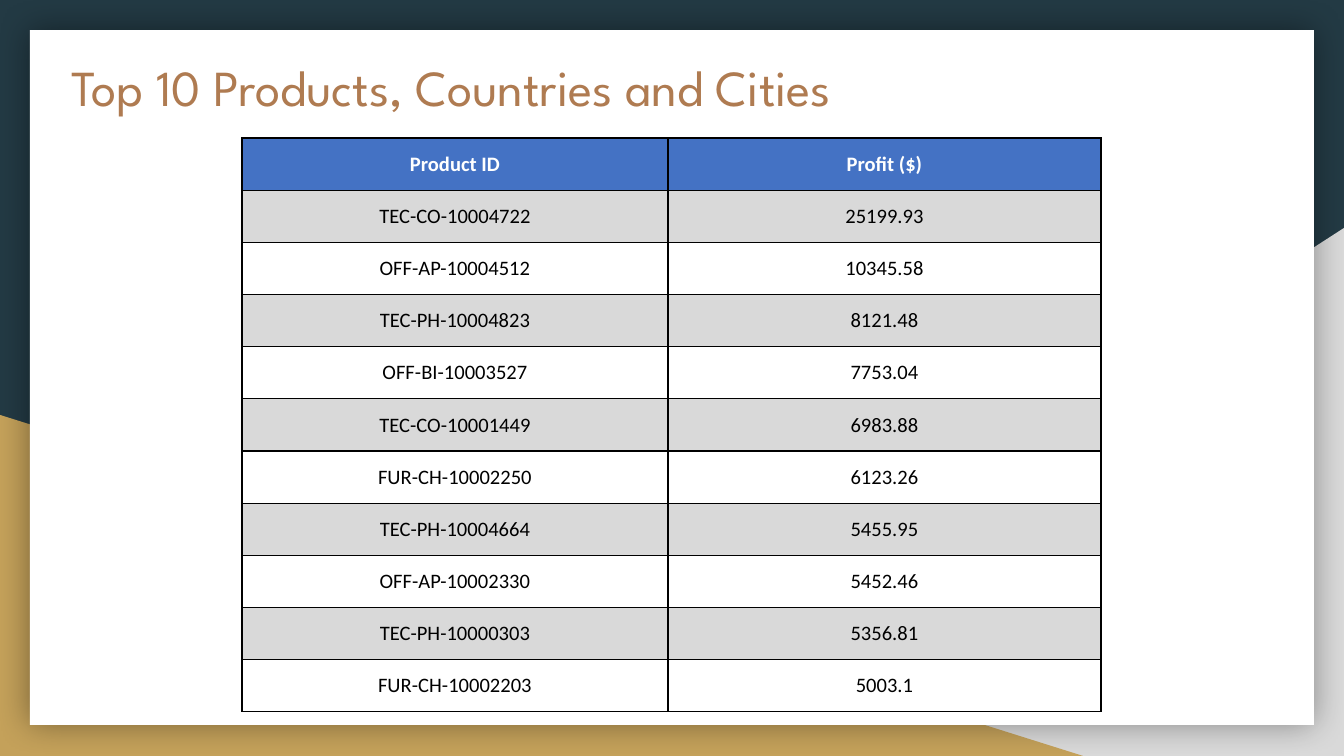
from lxml.etree import SubElement
from pptx import Presentation
from pptx.dml.color import RGBColor
from pptx.enum.shapes import MSO_SHAPE
from pptx.enum.text import MSO_ANCHOR, MSO_AUTO_SIZE, PP_ALIGN
from pptx.oxml import parse_xml
from pptx.oxml.ns import nsdecls, qn
from pptx.util import Emu, Pt

SCALE = 914400 / 134.4
WIDTH, HEIGHT = 1344, 756
INSET = 13
NAVY, GOLD, GREY = "233A44", "C4A15A", "D9D9D9"
BROWN, BLUE, WHITE, BLACK = "AF7B51", "4472C4", "FFFFFF", "000000"

PROFITS = [
    ("TEC-CO-10004722", "25199.93"),
    ("OFF-AP-10004512", "10345.58"),
    ("TEC-PH-10004823", "8121.48"),
    ("OFF-BI-10003527", "7753.04"),
    ("TEC-CO-10001449", "6983.88"),
    ("FUR-CH-10002250", "6123.26"),
    ("TEC-PH-10004664", "5455.95"),
    ("OFF-AP-10002330", "5452.46"),
    ("TEC-PH-10000303", "5356.81"),
    ("FUR-CH-10002203", "5003.1"),
]


def px(n):
    return Emu(round(n * SCALE))


def paint(target, color):
    target.solid()
    target.fore_color.rgb = RGBColor.from_string(color)


class Deck:
    head_font, body_font = "League Spartan", "Calibri"

    def __init__(self, prs):
        self.slide = prs.slides.add_slide(prs.slide_layouts[5])
        paint(self.slide.background.fill, NAVY)

    def shape(self, kind, box, color):
        item = self.slide.shapes.add_shape(kind, *map(px, box))
        item.shadow.inherit = False
        paint(item.fill, color)
        item.line.fill.background()
        return item

    def wedge(self, box, color, flip=False):
        item = self.shape(MSO_SHAPE.RIGHT_TRIANGLE, box, color)
        if flip:
            item._element.spPr.find(qn("a:xfrm")).set("flipH", "1")

    def panel(self, box):
        item = self.shape(MSO_SHAPE.RECTANGLE, box, WHITE)
        glow = parse_xml(
            f'<a:outerShdw {nsdecls("a")} blurRad="{Pt(18)}" algn="ctr" rotWithShape="0">'
            f'<a:srgbClr val="{BLACK}"><a:alpha val="40000"/></a:srgbClr></a:outerShdw>')
        item._element.spPr.find(qn("a:effectLst")).append(glow)

    def title(self, text, box):
        item = self.slide.shapes.title
        item.left, item.top, item.width, item.height = map(px, box)
        # Bring the title in front of the backdrop
        tree = item._element.getparent()
        tree.append(item._element)
        frame = item.text_frame
        frame.text = text
        frame.word_wrap = True
        frame.auto_size = MSO_AUTO_SIZE.NONE
        frame.vertical_anchor = MSO_ANCHOR.TOP
        frame.margin_left = frame.margin_right = px(INSET)
        frame.margin_top = frame.margin_bottom = px(INSET)
        self.style(frame.paragraphs[0], self.head_font, 27, BROWN, PP_ALIGN.LEFT)

    def style(self, para, face, size, color, align, bold=False):
        para.alignment = align
        font = para.font
        font.name, font.size, font.bold = face, Pt(size), bold
        font.color.rgb = RGBColor.from_string(color)

    def table(self, rows, left, top, widths, height):
        frame = self.slide.shapes.add_table(
            len(rows), len(widths), px(left), px(top), px(sum(widths)), px(height))
        grid = frame.table
        for col, width in zip(grid.columns, widths):
            col.width = px(width)
        for r, row in enumerate(rows):
            grid.rows[r].height = px(height / len(rows))
            for c, text in enumerate(row):
                self.cell(grid.cell(r, c), text, r)

    def cell(self, cell, text, row):
        head = row == 0
        cell.text = text
        cell.vertical_anchor = MSO_ANCHOR.MIDDLE
        cell.margin_left = cell.margin_right = px(INSET)
        cell.margin_top = cell.margin_bottom = px(INSET)
        self.style(cell.text_frame.paragraphs[0], self.body_font, 11,
                   WHITE if head else BLACK, PP_ALIGN.CENTER, head)
        # Borders must come before the fill
        props = cell._tc.get_or_add_tcPr()
        for side in ("lnL", "lnR", "lnT", "lnB"):
            line = SubElement(props, qn(f"a:{side}"), w=str(Pt(0.75)))
            fill = SubElement(line, qn("a:solidFill"))
            SubElement(fill, qn("a:srgbClr"), val=BLACK)
        paint(cell.fill, BLUE if head else GREY if row % 2 else WHITE)


def main():
    prs = Presentation()
    prs.slide_width, prs.slide_height = px(WIDTH), px(HEIGHT)
    deck = Deck(prs)

    # Backdrop
    deck.wedge((527, 228, 817, 528), GREY, flip=True)
    deck.wedge((0, 415, 1083, 341), GOLD)
    deck.panel((30, 30, 1284, 695))

    # Title and profit table
    deck.title("Top 10 Products, Countries and Cities", (58, 43, 1103, 83))
    deck.table([("Product ID", "Profit ($)")] + PROFITS, 242, 138, (426, 433), 574)

    prs.save("out.pptx")


if __name__ == "__main__":
    main()
